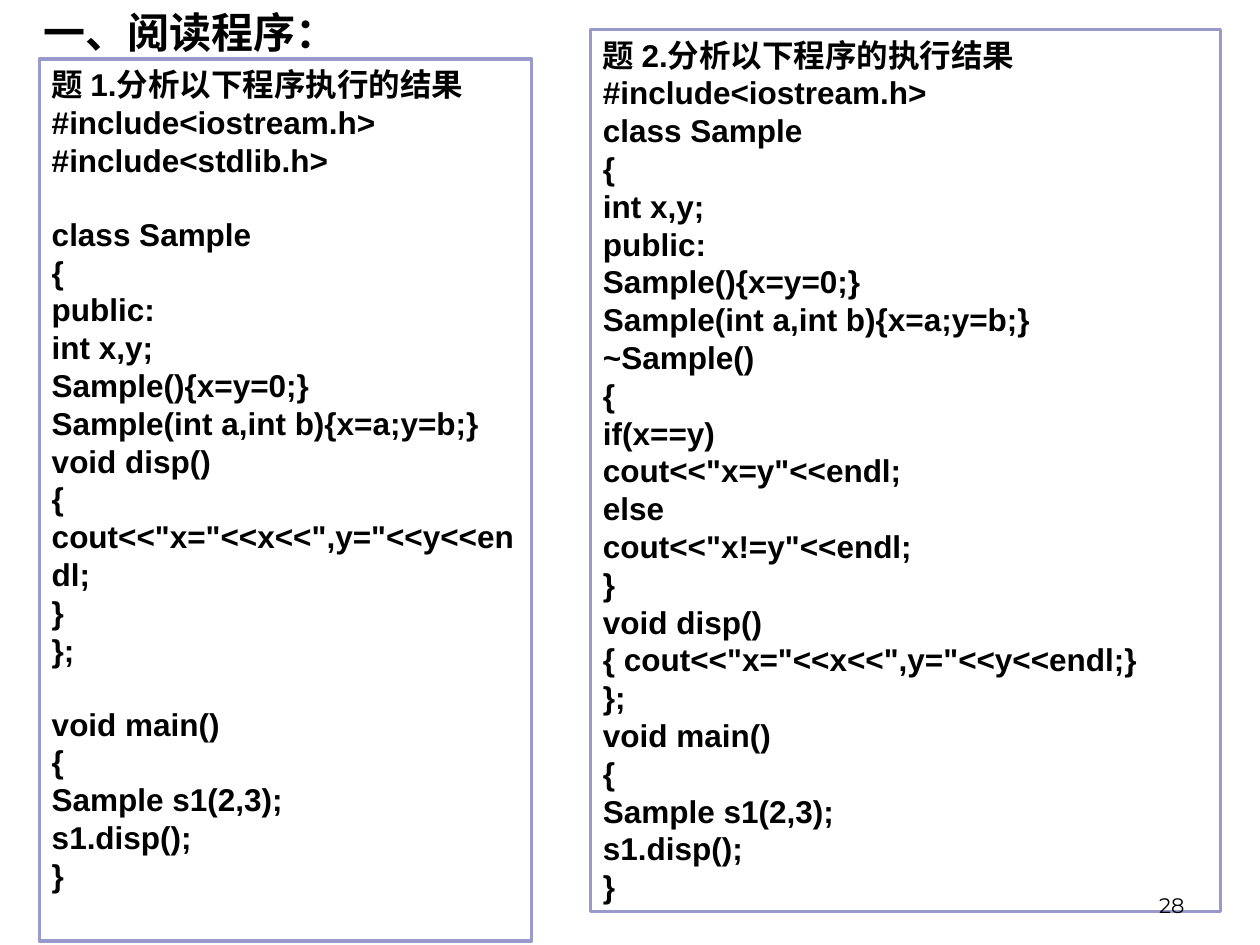
from dataclasses import dataclass

import pptx
import pptx.dml.color
import pptx.enum.shapes
import pptx.enum.text
import pptx.shapes.base
import pptx.slide
import pptx.util

COLORS = {"text": "000000", "panel": "FFFFFF", "border": "9999CC"}
GRID = 32
CODE_SIZE = 18
CODE_LINE_HEIGHT = 20.7

presentation = pptx.Presentation()
presentation.slide_width = pptx.util.Inches(10)
presentation.slide_height = pptx.util.Inches(7.5)
COLUMN = presentation.slide_width / GRID
ROW = presentation.slide_height / GRID


@dataclass(frozen=True)
class Area:
    column: float
    row: float
    columns: float
    rows: float

    def lengths(self) -> tuple[int, int, int, int]:
        return (
            round(self.column * COLUMN),
            round(self.row * ROW),
            round(self.columns * COLUMN),
            round(self.rows * ROW),
        )


@dataclass(frozen=True)
class Exercise:
    area: Area
    sections: tuple[str, ...]


EXERCISES = (
    Exercise(
        Area(1, 2, 12.5, 29.87),
        (
            """题 1.分析以下程序执行的结果
#include<iostream.h>
#include<stdlib.h>""",
            """class Sample
{
public:
int x,y;
Sample(){x=y=0;}
Sample(int a,int b){x=a;y=b;}
void disp()
{
cout<<"x="<<x<<",y="<<y<<endl;
}
};""",
            """void main()
{
Sample s1(2,3);
s1.disp();
}""",
        ),
    ),
    Exercise(
        Area(15, 1, 16, 29.87),
        (
            """题 2.分析以下程序的执行结果
#include<iostream.h>
class Sample
{
int x,y;
public:
Sample(){x=y=0;}
Sample(int a,int b){x=a;y=b;}
~Sample()
{
if(x==y)
cout<<"x=y"<<endl;
else
cout<<"x!=y"<<endl;
}
void disp()
{ cout<<"x="<<x<<",y="<<y<<endl;}
};
void main()
{
Sample s1(2,3);
s1.disp();
}""",
        ),
    ),
)


def color(name: str) -> pptx.dml.color.RGBColor:
    return pptx.dml.color.RGBColor.from_string(COLORS[name])


def write_text(
    shape: pptx.shapes.base.BaseShape,
    *sections: str,
    font: str,
    size: float,
    bold: bool = False,
    wrap: bool = True,
    section_gap: float = 0,
    align=pptx.enum.text.PP_ALIGN.LEFT,
    anchor=pptx.enum.text.MSO_ANCHOR.TOP,
    auto_size=pptx.enum.text.MSO_AUTO_SIZE.SHAPE_TO_FIT_TEXT,
) -> None:
    frame = shape.text_frame
    frame.word_wrap = wrap
    frame.auto_size = auto_size
    frame.vertical_anchor = anchor
    frame.text = "\n".join(sections)
    for paragraph in frame.paragraphs:
        paragraph.alignment = align
        for run in paragraph.runs:
            run.font.name = font
            run.font.size = pptx.util.Pt(size)
            run.font.bold = bold
            run.font.color.rgb = color("text")
    start = 0
    for section in sections[:-1]:
        start += len(section.splitlines())
        frame.paragraphs[start].space_before = pptx.util.Pt(section_gap)


def draw_exercise(slide: pptx.slide.Slide, exercise: Exercise) -> None:
    shape = slide.shapes.add_shape(
        pptx.enum.shapes.MSO_SHAPE.RECTANGLE, *exercise.area.lengths()
    )
    shape.shadow.inherit = False
    shape.fill.solid()
    shape.fill.fore_color.rgb = color("panel")
    shape.line.color.rgb = color("border")
    shape.line.width = pptx.util.Pt(2)
    write_text(
        shape,
        *exercise.sections,
        font="Arial",
        size=CODE_SIZE,
        bold=True,
        section_gap=CODE_LINE_HEIGHT,
    )


def main() -> None:
    slide = presentation.slides.add_slide(presentation.slide_layouts[6])
    for exercise in EXERCISES:
        draw_exercise(slide, exercise)
    title = slide.shapes.add_textbox(*Area(0.8, 0, 8.1, 2.13).lengths())
    write_text(
        title, "一、阅读程序：", font="Times New Roman", size=24, bold=True, wrap=False
    )
    slide_number = slide.shapes.add_textbox(*Area(22.93, 29.15, 7.47, 2.13).lengths())
    write_text(
        slide_number,
        "28",
        font="Montserrat",
        size=12,
        align=pptx.enum.text.PP_ALIGN.RIGHT,
        anchor=pptx.enum.text.MSO_ANCHOR.BOTTOM,
        auto_size=pptx.enum.text.MSO_AUTO_SIZE.NONE,
    )
    presentation.save("out.pptx")


if __name__ == "__main__":
    main()
